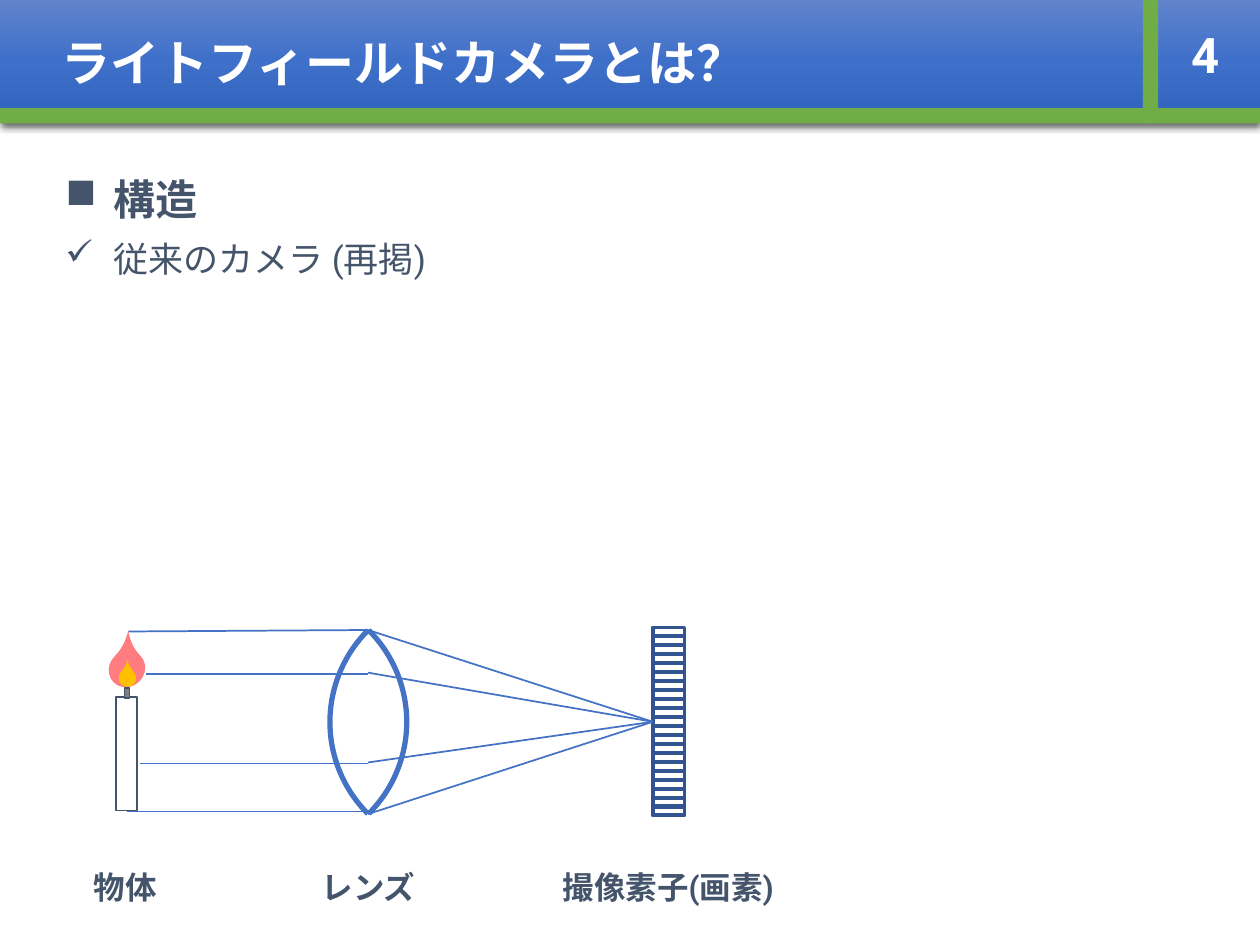
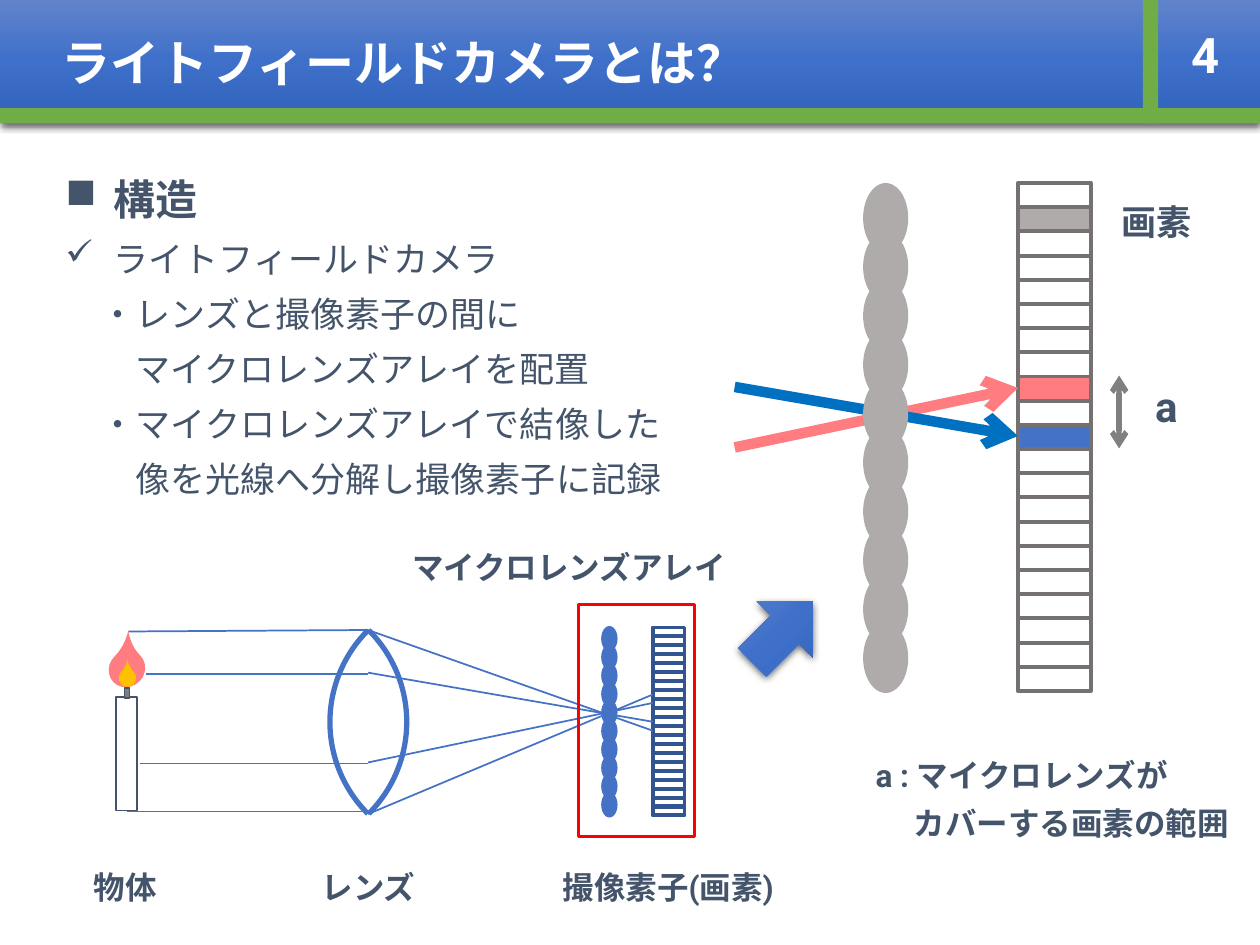
from dataclasses import dataclass
from typing import NamedTuple, Optional

from lxml import etree
from pptx import Presentation
from pptx.dml.color import RGBColor
from pptx.enum.shapes import MSO_CONNECTOR, MSO_SHAPE
from pptx.enum.text import MSO_ANCHOR, PP_ALIGN
from pptx.oxml import parse_xml
from pptx.oxml.ns import nsdecls, qn
from pptx.util import Cm, Pt

FONT = "Roboto"
WHITE = RGBColor(0xFF, 0xFF, 0xFF)
SLATE = RGBColor(0x44, 0x54, 0x6A)
BLUE = RGBColor(0x44, 0x72, 0xC4)
NAVY = RGBColor(0x32, 0x54, 0x91)
RAY_BLUE = RGBColor(0x00, 0x70, 0xC0)
GREEN = RGBColor(0x70, 0xAD, 0x47)
CORAL = RGBColor(0xFF, 0x7C, 0x80)
AMBER = RGBColor(0xFF, 0xC0, 0x00)
RED = RGBColor(0xFF, 0x00, 0x00)
GREY = RGBColor(0x80, 0x80, 0x80)
DARK_GREY = RGBColor(0x76, 0x71, 0x71)
LIGHT_GREY = RGBColor(0xAF, 0xAB, 0xAB)
GRADIENT = ((0, RGBColor(0x61, 0x83, 0xCB)), (50, RGBColor(0x3E, 0x70, 0xCA)),
            (100, RGBColor(0x30, 0x62, 0xBB)))

LENS_X = 7.42
SENSOR_X = 13.16


class Box(NamedTuple):
    left: float
    top: float
    width: float
    height: float


class Ray(NamedTuple):
    object_x: float
    object_y: float
    entry_y: float
    exit_y: float


RAYS = (Ray(2.59, 12.73, 12.7, 12.7), Ray(2.95, 13.59, 13.59, 13.56),
        Ray(2.82, 15.39, 15.39, 15.37), Ray(2.57, 16.36, 16.36, 16.41))


@dataclass(frozen=True)
class Para:
    text: str
    size: float = 18
    bold: bool = True
    color: RGBColor = SLATE
    align: PP_ALIGN = PP_ALIGN.LEFT
    spacing: float = 0.9
    before: float = 7.5
    bullet: str = ""
    margin: float = 0


@dataclass(frozen=True)
class Label:
    text: str
    box: Box
    size: float = 18


@dataclass(frozen=True)
class Column:
    box: Box
    color: RGBColor
    count: int


SENSOR = Column(Box(SENSOR_X, 12.65, 0.64, 3.79), NAVY, 21)
SENSOR_ZOOM = Column(Box(20.52, 3.69, 1.47, 10.24), DARK_GREY, 21)
MICROLENSES = Column(Box(12.12, 12.62, 0.33, 3.86), BLUE, 10)
MICROLENSES_ZOOM = Column(Box(17.4, 3.69, 0.91, 10.28), LIGHT_GREY, 10)

DIAGRAM_LABELS = (Label("物体", Box(1.07, 17.45, 2.92, 1.24)),
                  Label("レンズ", Box(3.38, 17.45, 8.1, 1.24)),
                  Label("撮像素子(画素)", Box(9.42, 17.45, 8.1, 1.24)))
ZOOM_LABELS = (Label("マイクロレンズアレイ", Box(7.42, 11, 8.1, 1.24)),
               Label("画素", Box(21.59, 4.01, 3.45, 1.4), 20),
               Label("a", Box(21.79, 7.67, 3.45, 1.4), 24))


def place(box: Box) -> tuple:
    return tuple(Cm(value) for value in box)


def add_figure(shapes, kind: MSO_SHAPE, box: Box, fill: Optional[RGBColor] = None,
               line: Optional[RGBColor] = None, width: float = 1, rotation: float = 0):
    figure = shapes.add_shape(kind, *place(box))
    figure.shadow.inherit = False
    figure.rotation = rotation
    if fill is None:
        figure.fill.background()
    else:
        figure.fill.solid()
        figure.fill.fore_color.rgb = fill
    if line is None:
        figure.line.fill.background()
    else:
        figure.line.color.rgb = line
        figure.line.width = Pt(width)
    return figure


def add_glossy(shapes, kind: MSO_SHAPE, box: Box, rotation: float = 0):
    figure = add_figure(shapes, kind, box, WHITE, rotation=rotation)
    properties = figure._element.spPr
    stops = "".join(f'<a:gs pos="{position * 1000}"><a:srgbClr val="{color}"/></a:gs>'
                    for position, color in GRADIENT)
    gradient = parse_xml(f'<a:gradFill {nsdecls("a")} rotWithShape="1"><a:gsLst>{stops}'
                         '</a:gsLst><a:lin ang="5400000" scaled="0"/></a:gradFill>')
    properties.replace(properties.find(qn("a:solidFill")), gradient)
    shadow = parse_xml(
        f'<a:outerShdw {nsdecls("a")} blurRad="{Pt(4.5)}" dist="{Pt(1.5)}" dir="5400000" '
        'rotWithShape="0"><a:srgbClr val="000000"><a:alpha val="63000"/></a:srgbClr>'
        '</a:outerShdw>')
    properties.find(qn("a:effectLst")).append(shadow)
    return figure


def add_line(shapes, x1: float, y1: float, x2: float, y2: float, color: RGBColor = BLUE,
             width: float = 1, arrows: tuple = ()) -> None:
    line = shapes.add_connector(MSO_CONNECTOR.STRAIGHT, Cm(x1), Cm(y1), Cm(x2), Cm(y2))
    line.line.color.rgb = color
    line.line.width = Pt(width)
    for end in arrows:
        etree.SubElement(line.line._get_or_add_ln(), qn(f"a:{end}"), type="arrow")
    etree.SubElement(line._element.spPr, qn("a:effectLst"))


def write(frame, paras: tuple, anchor: MSO_ANCHOR = MSO_ANCHOR.TOP) -> None:
    frame.word_wrap = True
    frame.vertical_anchor = anchor
    for index, para in enumerate(paras):
        paragraph = frame.add_paragraph() if index else frame.paragraphs[0]
        paragraph.alignment = para.align
        paragraph.line_spacing = para.spacing
        paragraph.space_before = Pt(para.before)
        properties = paragraph._p.get_or_add_pPr()
        properties.set("marL", str(Cm(para.margin)))
        if para.bullet:
            properties.set("indent", str(-Cm(para.margin)))
            etree.SubElement(properties, qn("a:buChar"), char=para.bullet)
        run = paragraph.add_run()
        run.text = para.text
        run.font.name = FONT
        run.font.size = Pt(para.size)
        run.font.bold = para.bold
        run.font.color.rgb = para.color


def add_text(shapes, box: Box, paras: tuple, anchor: MSO_ANCHOR = MSO_ANCHOR.TOP) -> None:
    write(shapes.add_textbox(*place(box)).text_frame, paras, anchor)


def add_labels(shapes, labels: tuple) -> None:
    for label in labels:
        add_text(shapes, label.box, (Para(label.text, label.size, align=PP_ALIGN.CENTER),))


def heading(text: str, align: PP_ALIGN) -> tuple:
    return (Para(text, 28, color=WHITE, align=align, spacing=1, before=0),)


def add_header(shapes, title: str, number: str) -> None:
    header = add_glossy(shapes, MSO_SHAPE.RECTANGLE, Box(0, 0, 25.4, 2.49))
    header.text_frame.margin_left = Cm(1.24)
    write(header.text_frame, heading(title, PP_ALIGN.LEFT), MSO_ANCHOR.MIDDLE)
    add_figure(shapes, MSO_SHAPE.RECTANGLE, Box(0, 2.18, 25.4, 0.31), GREEN)
    add_text(shapes, Box(23.19, 0, 2.21, 2.18), heading(number, PP_ALIGN.CENTER),
             MSO_ANCHOR.MIDDLE)
    add_figure(shapes, MSO_SHAPE.RECTANGLE, Box(23.04, 0, 0.31, 2.49), GREEN)


def add_pixels(slide, column: Column, lit: dict) -> None:
    group = slide.shapes.add_group_shape().shapes
    left, top, width, height = column.box
    pitch = height / column.count
    for index in range(column.count):
        add_figure(group, MSO_SHAPE.RECTANGLE, Box(left, top + index * pitch, width, pitch),
                   lit.get(index), column.color, 2.25)


def add_microlenses(slide, column: Column) -> None:
    group = slide.shapes.add_group_shape().shapes
    left, top, width, height = column.box
    lens_height = width * 1.55
    pitch = (height - lens_height) / (column.count - 1)
    for index in range(column.count):
        add_figure(group, MSO_SHAPE.OVAL,
                   Box(left, top + index * pitch, width, lens_height), column.color)


def add_candle(slide) -> None:
    group = slide.shapes.add_group_shape().shapes
    add_figure(group, MSO_SHAPE.RECTANGLE, Box(2.34, 14.05, 0.43, 2.29), WHITE, SLATE)
    flame = add_figure(group, MSO_SHAPE.TEAR, Box(2.18, 13.13, 0.76, 0.71), CORAL,
                       rotation=315)
    add_figure(group, MSO_SHAPE.RECTANGLE, Box(2.51, 13.87, 0.1, 0.2), GREY, SLATE)
    core = add_figure(group, MSO_SHAPE.TEAR, Box(2.39, 13.49, 0.36, 0.36), AMBER,
                      rotation=315)
    for drop in (flame, core):
        drop.adjustments[0] = 1.476


def add_camera(slide, sensor_hits: tuple) -> None:
    shapes = slide.shapes
    for ray in RAYS:
        add_line(shapes, LENS_X, ray.entry_y, ray.object_x, ray.object_y)
    lens = shapes.add_group_shape().shapes
    for left, rotation in ((2.97, 45), (6.65, 225)):
        add_figure(lens, MSO_SHAPE.ARC, Box(left, 11.94, 5.23, 5.23), line=BLUE, width=3,
                   rotation=rotation)
    add_pixels(slide, SENSOR, {})
    for ray, hit in zip(RAYS, sensor_hits):
        add_line(shapes, LENS_X, ray.exit_y, SENSOR_X, hit)
    add_candle(slide)
    add_labels(shapes, DIAGRAM_LABELS)


def add_zoom(slide) -> None:
    shapes = slide.shapes
    add_microlenses(slide, MICROLENSES)
    add_pixels(slide, SENSOR_ZOOM, {1: LIGHT_GREY, 8: CORAL, 10: BLUE})
    add_figure(shapes, MSO_SHAPE.RECTANGLE, Box(11.66, 12.19, 2.34, 4.67), line=RED, width=1.5)
    add_line(shapes, 14.81, 9.02, 20.52, 7.82, CORAL, 6, ("tailEnd",))
    add_line(shapes, 14.81, 7.8, 20.52, 8.79, RAY_BLUE, 6, ("tailEnd",))
    add_microlenses(slide, MICROLENSES_ZOOM)
    add_line(shapes, 22.56, 7.57, 22.56, 9.04, GREY, 3, ("headEnd", "tailEnd"))
    add_glossy(shapes, MSO_SHAPE.RIGHT_ARROW, Box(14.91, 11.94, 1.73, 1.6), 315)
    add_labels(shapes, ZOOM_LABELS)
    add_text(shapes, Box(17.4, 15.21, 8, 2.39),
             (Para("a : マイクロレンズが"), Para("カバーする画素の範囲", margin=0.77)))


def add_structure_slide(deck, topic: str, details: tuple = ()):
    slide = deck.slides.add_slide(deck.slide_layouts[6])
    body = (Para("構造", 24, bullet="■", margin=0.97),
            Para(topic, 20, False, spacing=1, bullet="✓", margin=0.97))
    body += tuple(Para(text, 20, False, spacing=1, margin=margin) for text, margin in details)
    add_text(slide.shapes, Box(1.07, 3.48, 23.24, 15.57), body)
    add_header(slide.shapes, "ライトフィールドカメラとは？", "4")
    return slide


def main() -> None:
    deck = Presentation()
    deck.slide_width, deck.slide_height = Cm(25.4), Cm(19.05)

    conventional = add_structure_slide(deck, "従来のカメラ (再掲)")
    add_camera(conventional, (14.55,) * len(RAYS))

    light_field = add_structure_slide(deck, "ライトフィールドカメラ", (
        ("・レンズと撮像素子の間に", 0.71),
        ("マイクロレンズアレイを配置", 1.41),
        ("・マイクロレンズアレイで結像した", 0.71),
        ("像を光線へ分解し撮像素子に記録", 1.41)))
    add_camera(light_field, (14.73, 14.55, 14.17, 14))
    add_zoom(light_field)

    deck.save("out.pptx")


main()
